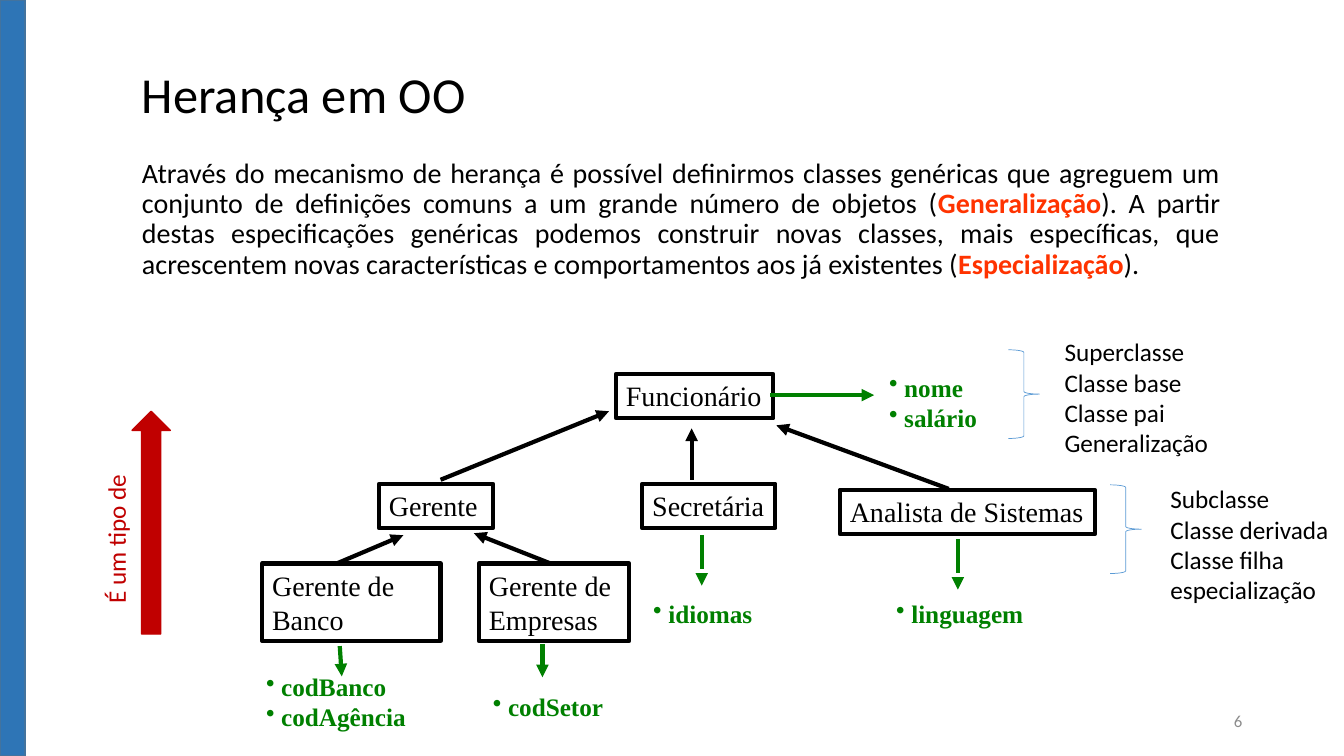
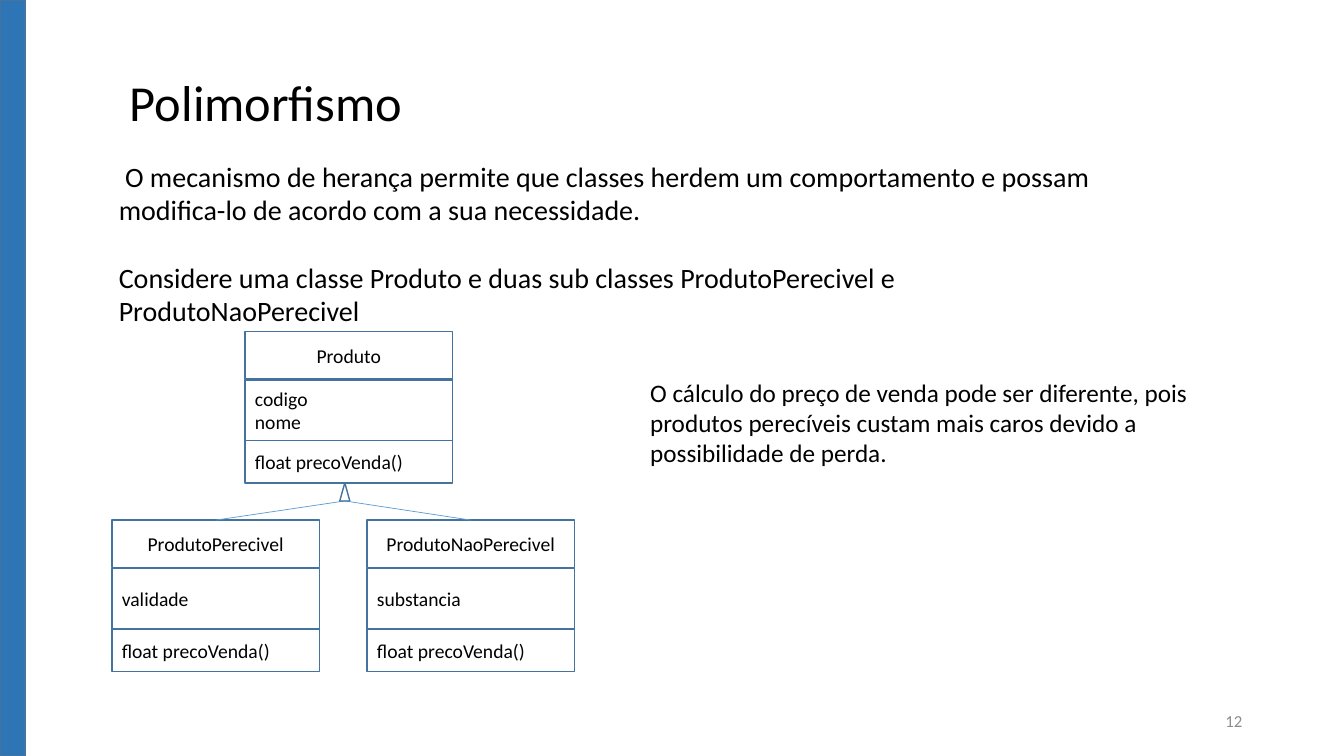
import pptx
import pptx.util
import pptx.dml.color
import pptx.enum.dml
import pptx.enum.shapes
import pptx.enum.text
import pptx.oxml
import pptx.oxml.ns
import lxml.etree

Inches = pptx.util.Inches
RGBColor = pptx.dml.color.RGBColor
SHAPE = pptx.enum.shapes.MSO_SHAPE
ALIGN = pptx.enum.text.PP_ALIGN
ANCHOR = pptx.enum.text.MSO_ANCHOR
qn = pptx.oxml.ns.qn

# Shared colours, fonts and text formats
BLACK = RGBColor(0x00, 0x00, 0x00)
GRAY = RGBColor(0x8C, 0x8C, 0x8C)
GREEN = RGBColor(0x00, 0x80, 0x00)
ORANGE = RGBColor(0xFF, 0x33, 0x00)
RED = RGBColor(0xC0, 0x00, 0x00)
BAR_BLUE = RGBColor(0x2E, 0x75, 0xB6)
EDGE_BLUE = RGBColor(0x43, 0x73, 0x9E)
LIGHT_BLUE = RGBColor(0x5B, 0x9B, 0xD5)

SANS, SERIF = "Calibri", "Times New Roman"
TITLE = dict(size=36, name=SANS, color=BLACK)
BODY = dict(size=20, name=SANS, color=BLACK)
NOTE = dict(size=18, name=SANS, color=BLACK)
MEMBER = dict(size=14, name=SANS, color=BLACK)
FOOTER = dict(size=12, name=SANS, color=GRAY)
CLASS_NAME = dict(size=20, name=SERIF, color=BLACK)
ATTRIBUTE = dict(size=18, name=SERIF, color=GREEN, bold=True)
SIDE_LABEL = dict(NOTE, color=RED)

SLIDE_WIDTH, SLIDE_HEIGHT = 13.33, 7.5
BULLET_INDENT = 0.15


def add_box(shapes, at, lines=(), style=BODY, kind=None, fill=None, line=None, line_width=1,
            align=ALIGN.LEFT, anchor=ANCHOR.TOP, wrap=True, bullet=False, **spacing):
    """Add a text box, or a preset shape; each line is a string or (text, style) runs."""
    place = [Inches(length) for length in at]
    if kind is None:
        shape = shapes.add_textbox(*place)
    else:
        shape = shapes.add_shape(kind, *place)
        shape.shadow.inherit = False
        if fill is None:
            shape.fill.background()
        else:
            shape.fill.solid()
            shape.fill.fore_color.rgb = fill
        shape.line.color.rgb = line
        shape.line.width = pptx.util.Pt(line_width)
    frame = shape.text_frame
    frame.word_wrap, frame.vertical_anchor = wrap, anchor
    for index, content in enumerate(lines):
        paragraph = frame.add_paragraph() if index else frame.paragraphs[0]
        paragraph.alignment = align
        for name, value in spacing.items():
            if name != "space_before" or index:
                setattr(paragraph, name, value)
        if bullet:
            properties = paragraph._p.get_or_add_pPr()
            properties.set("marL", str(Inches(BULLET_INDENT)))
            properties.set("indent", str(-Inches(BULLET_INDENT)))
            lxml.etree.SubElement(properties, qn("a:buChar")).set("char", "•")
        for text, run_style in [(content, style)] if isinstance(content, str) else content:
            run = paragraph.add_run()
            run.text = text
            for name, value in run_style.items():
                if name == "color":
                    run.font.color.rgb = value
                else:
                    setattr(run.font, name, pptx.util.Pt(value) if name == "size" else value)
    return shape


def add_line(shapes, start, end, color, width=3, arrow=True, dashed=False):
    """Add a straight line, with an arrowhead at its end if asked."""
    connector = shapes.add_connector(pptx.enum.shapes.MSO_CONNECTOR.STRAIGHT,
                                     *[Inches(length) for length in start + end])
    connector.line.color.rgb = color
    connector.line.width = pptx.util.Pt(width)
    if dashed:
        connector.line.dash_style = pptx.enum.dml.MSO_LINE.LONG_DASH
    if arrow:
        outline = connector.line._get_or_add_ln()
        lxml.etree.SubElement(outline, qn("a:tailEnd")).set("type", "triangle")
    lxml.etree.SubElement(connector._element.spPr, qn("a:effectLst"))


presentation = pptx.Presentation()
presentation.slide_width = Inches(SLIDE_WIDTH)
presentation.slide_height = Inches(SLIDE_HEIGHT)

# Side bar, title and page number of both slides
slides = []
for title, left, top, number in [("Herança em OO", 1.31, 0.6, "6"),
                                 ("Polimorfismo", 1.19, 0.68, "12")]:
    slide = presentation.slides.add_slide(presentation.slide_layouts[6])
    add_box(slide.shapes, (0, 0, 0.25, SLIDE_HEIGHT), kind=SHAPE.RECTANGLE,
            fill=BAR_BLUE, line=EDGE_BLUE)
    add_box(slide.shapes, (left, top, 9, 0.65), [title], TITLE, anchor=ANCHOR.MIDDLE)
    add_box(slide.shapes, (9.42, 6.95, 3, 0.4), [number], FOOTER,
            align=ALIGN.RIGHT, anchor=ANCHOR.MIDDLE)
    slides.append(slide)
inheritance, polymorphism = slides

# Inheritance: introduction
KEYWORD = dict(BODY, color=ORANGE, bold=True)
add_box(inheritance.shapes, (1.31, 1.53, 10.89, 1.78), [[
    ("Através do mecanismo de herança é possível definirmos classes genéricas que agreguem "
     "um conjunto de definições comuns a um grande número de objetos (", BODY),
    ("Generalização", KEYWORD),
    ("). A partir destas especificações genéricas podemos construir novas classes, mais "
     "específicas, que acrescentem novas características e comportamentos aos já "
     "existentes (", BODY),
    ("Especialização", KEYWORD),
    (").", BODY)]], align=ALIGN.JUSTIFY, line_spacing=0.9)

# Inheritance: class tree
tree = inheritance.shapes.add_group_shape().shapes
for at, lines, wrap in [
    ((6.11, 3.71, 1.56, 0.44), ["Funcionário"], False),
    ((3.76, 4.8, 1.13, 0.44), ["Gerente"], True),
    ((6.37, 4.8, 1.32, 0.44), ["Secretária"], False),
    ((8.33, 4.86, 2.53, 0.44), ["Analista de Sistemas"], False),
    ((2.6, 5.59, 1.77, 0.77), ["Gerente de Banco"], True),
    ((4.75, 5.59, 1.49, 0.77), ["Gerente de", "Empresas"], False),
]:
    add_box(tree, at, lines, CLASS_NAME, kind=SHAPE.RECTANGLE, line=BLACK, line_width=3, wrap=wrap)

for subclass, superclass in [
    ((4.37, 4.76), (6.04, 4.08)),
    ((6.86, 4.76), (6.86, 4.25)),
    ((9.41, 4.85), (7.7, 4.22)),
    ((3.34, 5.59), (4, 5.31)),
    ((5.46, 5.59), (4.7, 5.29)),
]:
    add_line(tree, subclass, superclass, BLACK)

# Inheritance: attributes of each class, with their arrows
for at, names, start, end in [
    ((8.72, 3.64, 1.2, 0.7), ["nome", "salário"], (7.64, 3.92), (8.67, 3.92)),
    ((2.54, 6.61, 1.75, 0.7), ["codBanco", "codAgência"], (3.37, 6.41), (3.39, 6.71)),
    ((4.79, 6.81, 1.45, 0.4), ["codSetor"], (5.38, 6.39), (5.38, 6.72)),
    ((6.38, 5.89, 1.35, 0.4), ["idiomas"], (6.96, 5.31), (6.96, 5.81)),
    ((8.79, 5.89, 1.6, 0.4), ["linguagem"], (9.5, 5.35), (9.5, 5.85)),
]:
    add_box(tree, at, names, ATTRIBUTE, bullet=True)
    add_line(tree, start, end, GREEN, dashed=start[1] != end[1])

# Inheritance: braces with synonyms
for brace, label, synonyms in [
    ((10, 3.47), (10.46, 3.29), ["Superclasse", "Classe base", "Classe pai", "Generalização"]),
    ((11.01, 4.81), (11.51, 4.75),
     ["Subclasse", "Classe derivada", "Classe filha", "especialização"]),
]:
    add_box(inheritance.shapes, brace + (0.31, 0.88), kind=SHAPE.RIGHT_BRACE,
            line=LIGHT_BLUE, line_width=0.5)
    add_box(inheritance.shapes, label + (1.81, 1.31), synonyms, NOTE)

# Inheritance: "is a kind of" arrow
add_box(inheritance.shapes, (1.31, 4.08, 0.38, 2.21), kind=SHAPE.UP_ARROW, fill=RED, line=RED)
side_label = add_box(inheritance.shapes, (0.95, 4.69, 0.5, 1.4), ["É um tipo de"],
                     SIDE_LABEL, wrap=False)
side_label.text_frame._txBody.bodyPr.set("vert", "vert270")

# Polymorphism: texts
add_box(polymorphism.shapes, (1.08, 1.53, 10.13, 1.01), [
    " O mecanismo de herança permite que classes herdem um comportamento e possam "
    "modifica-lo de acordo com a sua necessidade.",
    "Considere uma classe Produto e duas sub classes ProdutoPerecivel e "
    "ProdutoNaoPerecivel"], space_before=pptx.util.Pt(24))
add_box(polymorphism.shapes, (6.35, 3.69, 5.81, 1.01), [
    "O cálculo do preço de venda pode ser diferente, pois produtos perecíveis custam mais "
    "caros devido a possibilidade de perda."], NOTE)

# Polymorphism: class diagram, three compartments per class
CLASS_WIDTH = 2.06
COMPARTMENTS = [(0, 0.47), (0.48, 0.6), (1.08, 0.42)]
CHILD_TOP = 5.16
JOINT = (3.42, 4.97)
for left, top, name, fields in [
    (2.43, 3.29, "Produto", ["codigo", "nome"]),
    (1.11, CHILD_TOP, "ProdutoPerecivel", ["validade"]),
    (3.64, CHILD_TOP, "ProdutoNaoPerecivel", ["substancia"]),
]:
    class_box = polymorphism.shapes.add_group_shape().shapes
    contents = [[name], fields, ["float precoVenda()"]]
    for row, ((offset, height), lines) in enumerate(zip(COMPARTMENTS, contents)):
        add_box(class_box, (left, top + offset, CLASS_WIDTH, height), lines, MEMBER,
                kind=SHAPE.RECTANGLE, line=EDGE_BLUE, anchor=ANCHOR.MIDDLE,
                align=ALIGN.LEFT if row else ALIGN.CENTER)
    if top == CHILD_TOP:
        add_line(polymorphism.shapes, (left + CLASS_WIDTH / 2, CHILD_TOP), JOINT,
                 LIGHT_BLUE, width=0.5, arrow=False)
add_box(polymorphism.shapes, (JOINT[0] - 0.05, JOINT[1] - 0.18, 0.1, 0.18),
        kind=SHAPE.ISOSCELES_TRIANGLE, line=EDGE_BLUE)

presentation.save("out.pptx")
